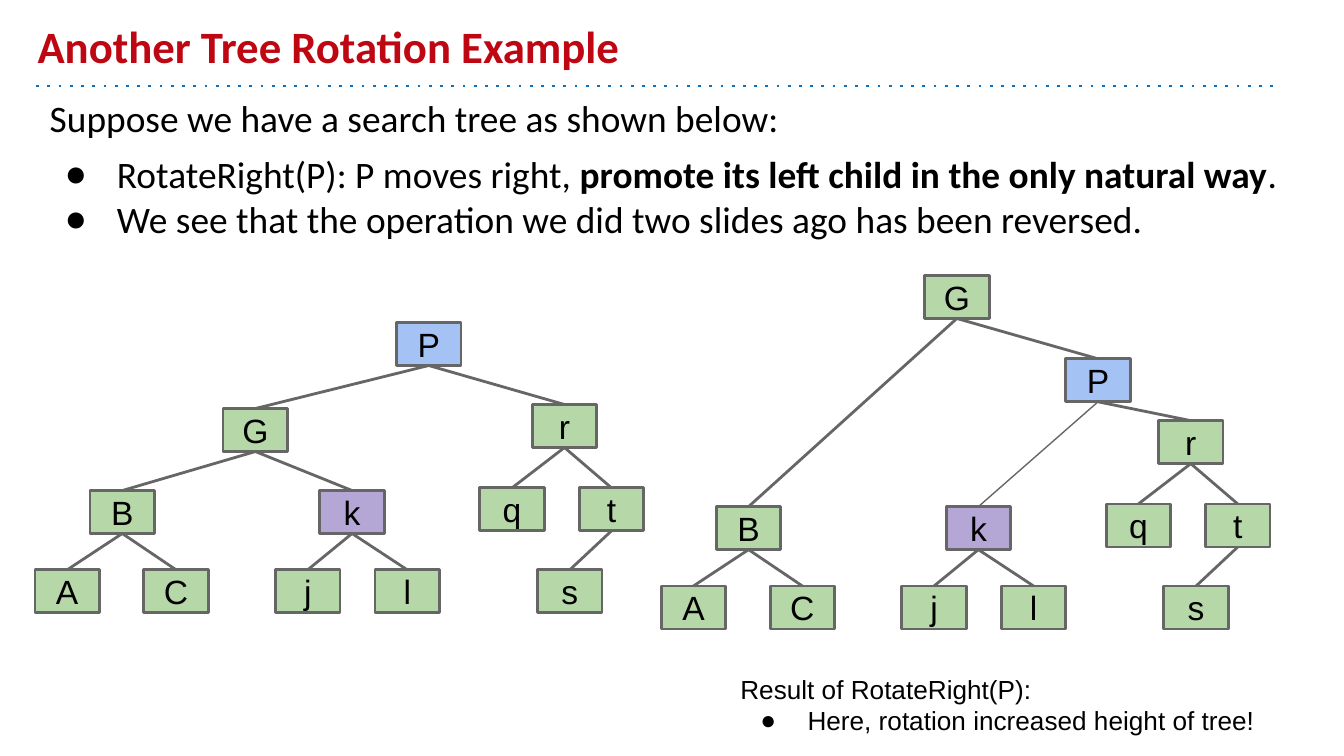
from lxml import etree
from pptx import Presentation
from pptx.dml.color import RGBColor
from pptx.enum.shapes import MSO_CONNECTOR, MSO_SHAPE
from pptx.enum.text import MSO_ANCHOR, MSO_AUTO_SIZE, PP_ALIGN
from pptx.oxml.ns import qn
from pptx.util import Inches, Pt

RECT = MSO_SHAPE.RECTANGLE
STRAIGHT = MSO_CONNECTOR.STRAIGHT
TOP, MIDDLE, BOTTOM = MSO_ANCHOR.TOP, MSO_ANCHOR.MIDDLE, MSO_ANCHOR.BOTTOM
LEFT, CENTER = PP_ALIGN.LEFT, PP_ALIGN.CENTER

BLACK, RED, BLUE, GRAY = "000000", "BE0712", "1072BD", "666666"
GREEN = "B6D7A8"
NODE_FILLS = {"P": "A4C2F4", "k": "B4A7D6"}
NODE_W, NODE_H = 0.48, 0.32

TITLE = "Another Tree Rotation Example"
# Each paragraph: (runs, bulleted, space before); each run: (text, bold)
BODY = [
    ([("Suppose we have a search tree as shown below:", False)], False, 0),
    ([("RotateRight(P): P moves right, ", False),
      ("promote its left child in the only natural way", True),
      (".", False)], True, 6),
    ([("We see that the operation we did two slides ago has been reversed.", False)], True, 0),
]
RESULT = [
    ([("Result of RotateRight(P):", False)], False, 0),
    ([("Here, rotation increased height of tree!", False)], True, 0),
]

BEFORE = {
    "P": (2.95, 2.4), "G": (1.66, 3.04), "r": (3.96, 3.01),
    "B": (0.67, 3.65), "k": (2.38, 3.65), "q": (3.57, 3.63), "t": (4.31, 3.63),
    "A": (0.26, 4.24), "C": (1.07, 4.24), "j": (2.05, 4.24), "l": (2.79, 4.24),
    "s": (4, 4.24),
}
# Rotation shifts every subtree alike; only G and P take new places
SHIFT_X, SHIFT_Y = 4.66, 0.12
AFTER = {name: (x + SHIFT_X, y + SHIFT_Y) for name, (x, y) in BEFORE.items()}
AFTER.update(G=(6.88, 2.05), P=(7.93, 2.67))

KEPT_EDGES = ["GB", "BA", "BC", "kj", "kl", "Pr", "rq", "rt", "ts"]
BEFORE_EDGES = KEPT_EDGES + ["PG", "Gk"]
AFTER_EDGES = KEPT_EDGES + ["GP", "Pk"]


def rgb(color):
    return RGBColor.from_string(color)


def set_bullet(p, bulleted, hanging):
    """Give a paragraph a round hanging bullet, or clear the inherited one."""
    pPr = p._p.get_or_add_pPr()
    pPr.set("marL", str(Inches(0.5) if bulleted else 0))
    pPr.set("indent", str(-Inches(hanging) if bulleted else 0))
    if bulleted:
        color = etree.SubElement(pPr, qn("a:buClr"))
        etree.SubElement(color, qn("a:srgbClr"), val=BLACK)
        etree.SubElement(pPr, qn("a:buFont"), typeface="Arial")
        etree.SubElement(pPr, qn("a:buChar"), char="●")
    else:
        etree.SubElement(pPr, qn("a:buNone"))


def write(sp, paragraphs, size, font="Arial", color=BLACK, align=LEFT,
          anchor=TOP, hanging=0.35):
    tf = sp.text_frame
    tf.word_wrap = True
    tf.auto_size = MSO_AUTO_SIZE.NONE
    tf.vertical_anchor = anchor
    tf.margin_left = tf.margin_right = tf.margin_top = tf.margin_bottom = Inches(0.1)
    for i, (runs, bulleted, before) in enumerate(paragraphs):
        p = tf.add_paragraph() if i else tf.paragraphs[0]
        p.alignment = align
        p.line_spacing = 1.0
        p.space_before, p.space_after = Pt(before), Pt(0)
        set_bullet(p, bulleted, hanging)
        for text, bold in runs:
            r = p.add_run()
            r.text = text
            r.font.name, r.font.size, r.font.bold = font, Pt(size), bold
            r.font.color.rgb = rgb(color)


def place(sp, x, y, w, h):
    sp.left, sp.top, sp.width, sp.height = map(Inches, (x, y, w, h))


def add_line(s, x1, y1, x2, y2, color=GRAY, width=1.5, dash=None):
    line = s.shapes.add_connector(STRAIGHT, *map(Inches, (x1, y1, x2, y2)))
    line.line.color.rgb = rgb(color)
    line.line.width = Pt(width)
    if dash:
        etree.SubElement(line.line._get_or_add_ln(), qn("a:prstDash"), val=dash)
    etree.SubElement(line._element.spPr, qn("a:effectLst"))
    return line


def add_node(s, name, x, y):
    sp = s.shapes.add_shape(RECT, *map(Inches, (x, y, NODE_W, NODE_H)))
    sp.shadow.inherit = False
    sp.fill.solid()
    sp.fill.fore_color.rgb = rgb(NODE_FILLS.get(name, GREEN))
    sp.line.color.rgb = rgb(GRAY)
    sp.line.width = Pt(1.5)
    write(sp, [([(name, False)], False, 0)], 18, align=CENTER, anchor=MIDDLE)
    return sp


def add_tree(s, positions, edges, thin=()):
    """Draw the nodes and parent-child edges; return all the shapes."""
    nodes = {name: add_node(s, name, x, y) for name, (x, y) in positions.items()}
    lines = []
    for edge in edges:
        parent, child = edge
        line = add_line(s, 0, 0, 0, 0, width=0.75 if edge in thin else 1.5)
        line.begin_connect(nodes[parent], 2)
        line.end_connect(nodes[child], 0)
        lines.append(line)
    return [*nodes.values(), *lines]


def main():
    prs = Presentation()
    prs.slide_width = Inches(10)
    prs.slide_height = prs.slide_width * 9 // 16
    s = prs.slides.add_slide(prs.slide_layouts[1])

    add_line(s, 0.27, 0.64, 9.5, 0.64, color=BLUE, dash="dot")

    title, body = s.shapes.title, s.placeholders[1]
    place(title, 0.18, 0.1, 9, 0.54)
    write(title, [([(TITLE, True)], False, 0)], 24, font="Calibri", color=RED, anchor=BOTTOM)
    place(body, 0.27, 0.61, 9.73, 1.31)
    write(body, BODY, 20, font="Calibri", hanging=0.39)

    s.shapes.add_group_shape(add_tree(s, BEFORE, BEFORE_EDGES))
    result = s.shapes.add_textbox(*map(Inches, (5.41, 4.91, 4.41, 0.72)))
    write(result, RESULT, 14)
    add_tree(s, AFTER, AFTER_EDGES, thin=["Pk"])

    prs.save("out.pptx")


if __name__ == "__main__":
    main()
